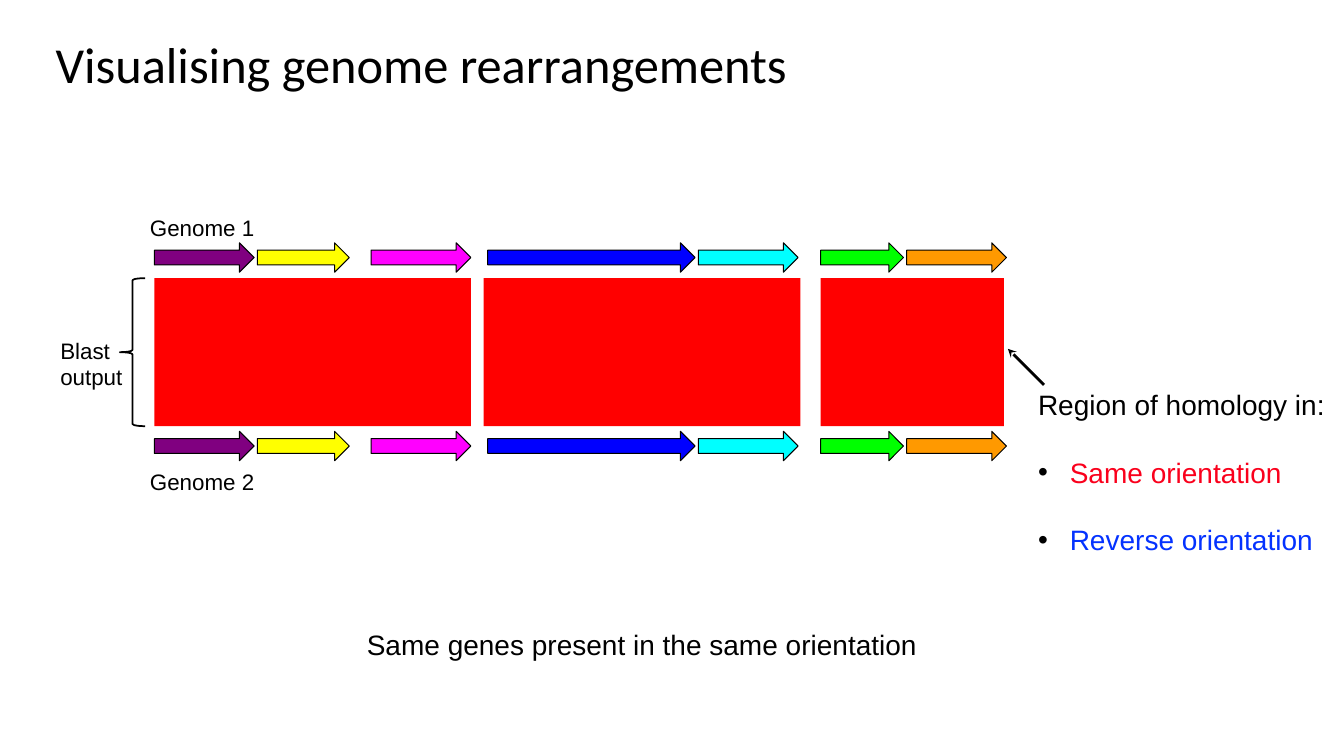
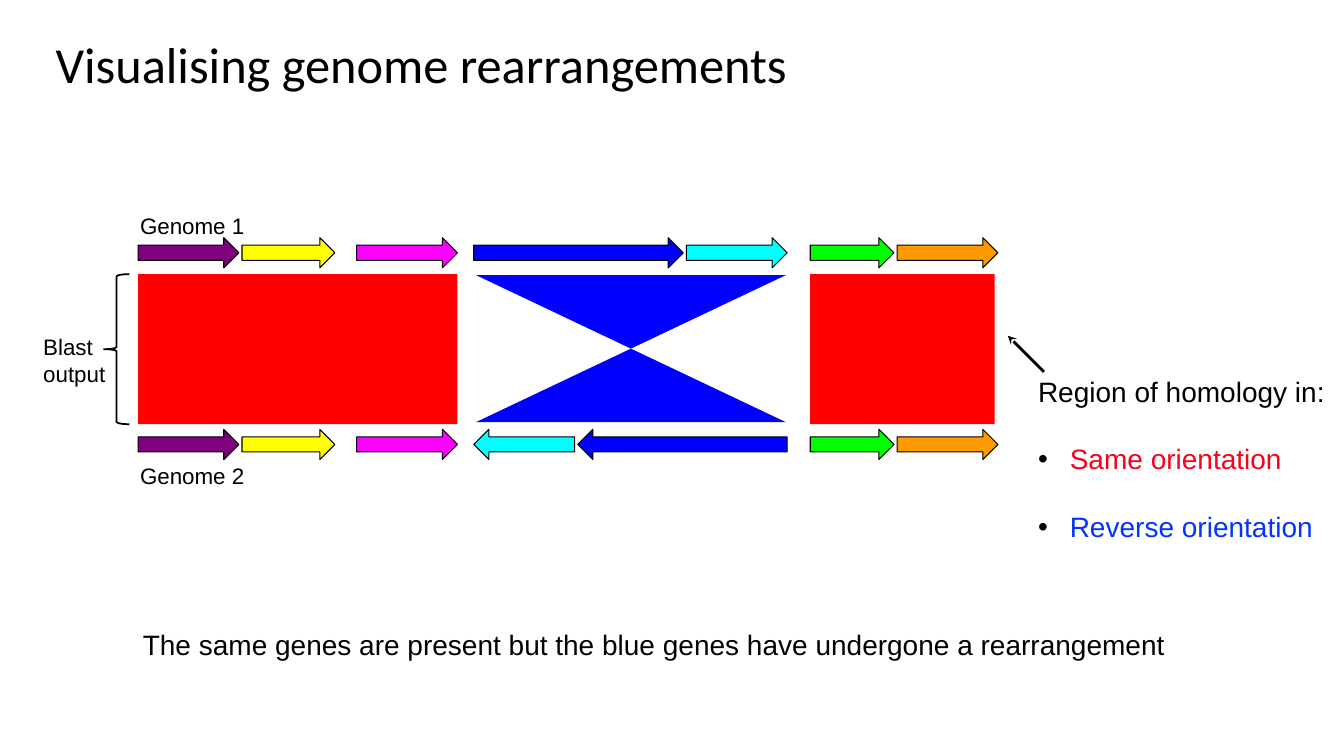
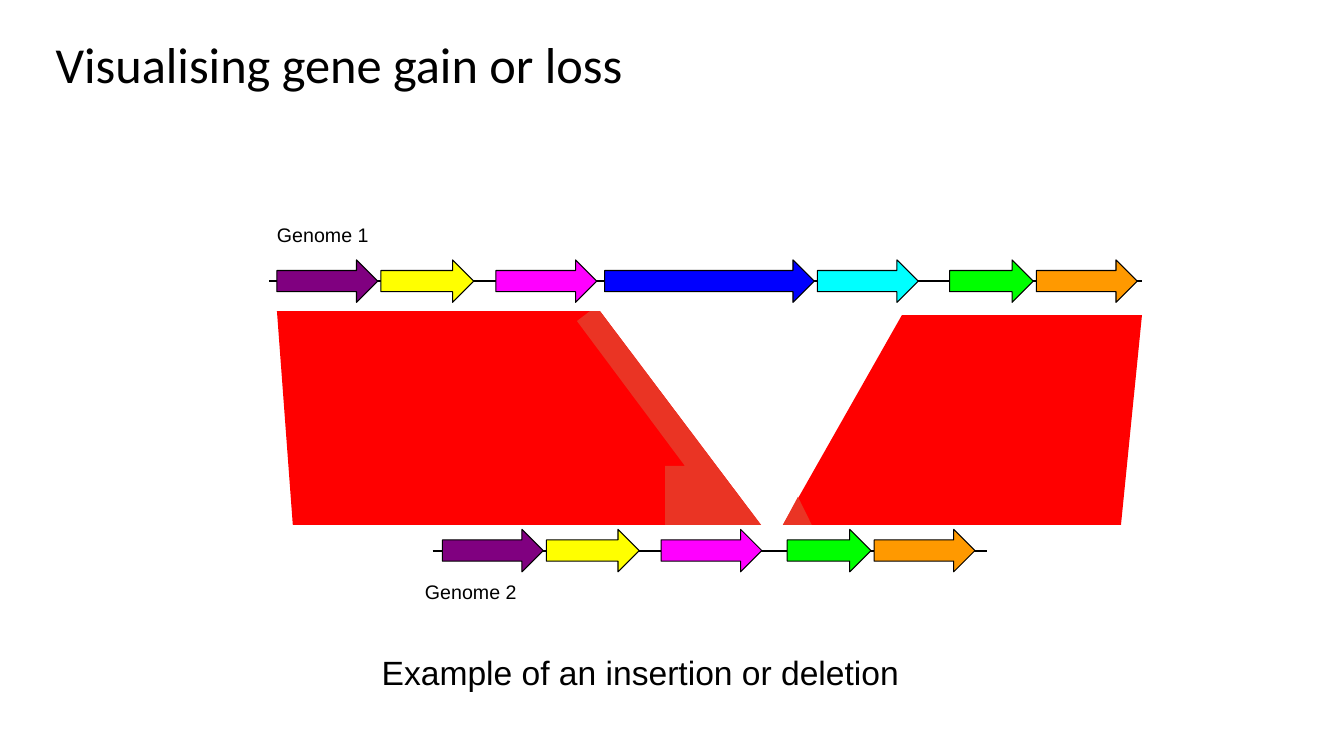
from dataclasses import dataclass
from typing import NamedTuple

from lxml import etree
from pptx import Presentation
from pptx.dml.color import RGBColor
from pptx.enum.shapes import MSO_CONNECTOR, MSO_SHAPE
from pptx.enum.text import MSO_ANCHOR, PP_ALIGN
from pptx.oxml.ns import qn
from pptx.util import Cm, Pt

RECTANGLE = MSO_SHAPE.RECTANGLE
TRIANGLE = MSO_SHAPE.ISOSCELES_TRIANGLE
RIGHT_ARROW = MSO_SHAPE.RIGHT_ARROW
LEFT_ARROW = MSO_SHAPE.LEFT_ARROW
LEFT_BRACE = MSO_SHAPE.LEFT_BRACE
STRAIGHT = MSO_CONNECTOR.STRAIGHT
TOP, MIDDLE = MSO_ANCHOR.TOP, MSO_ANCHOR.MIDDLE
LEFT, CENTER = PP_ALIGN.LEFT, PP_ALIGN.CENTER


@dataclass(frozen=True)
class Theme:
    ink: str = "000000"
    same: str = "FF0000"
    reverse: str = "0000FF"
    overlap: str = "EA3424"
    same_label: str = "FA001C"
    reverse_label: str = "0432FF"
    title_font: str = "Calibri"
    body_font: str = "Arial"
    title_size: float = 36
    large_size: float = 24
    body_size: float = 20
    label_size: float = 16
    small_size: float = 14
    key_gap: float = 24.5
    gene_line: float = 0.75
    brace_line: float = 1.25
    backbone_line: float = 1.5
    pointer_line: float = 2


THEME = Theme()


class Box(NamedTuple):
    left: float
    top: float
    width: float
    height: float


class Point(NamedTuple):
    x: float
    y: float


class Gene(NamedTuple):
    color: str
    width: float


class GeneGroup(NamedTuple):
    left: float
    genes: tuple[Gene, ...]
    reversed: bool = False


class GenomeRow(NamedTuple):
    top: float
    height: float
    groups: tuple[GeneGroup, ...]
    scale: float = 1


class Label(NamedTuple):
    text: str
    box: Box
    size: float
    align: PP_ALIGN = LEFT


class Region(NamedTuple):
    color: str
    outline: tuple[Point, ...]


class Rearrangement(NamedTuple):
    rows: tuple[GenomeRow, ...]
    same_regions: tuple[Box, ...]
    inverted_region: Box | None
    brace: Box
    labels: tuple[Label, ...]
    key_top: float


PURPLE = Gene("800080", 2.54)
YELLOW = Gene("FFFF00", 2.34)
MAGENTA = Gene("FF00FF", 2.54)
BLUE = Gene("0000FF", 5.28)
CYAN = Gene("00FFFF", 2.54)
GREEN = Gene("00FF00", 2.11)
ORANGE = Gene("FF9900", 2.54)
GENE_GAP = 0.08
START, SINGLE, MOBILE, END = (PURPLE, YELLOW), (MAGENTA,), (BLUE, CYAN), (GREEN, ORANGE)


def color(code: str) -> RGBColor:
    return RGBColor.from_string(code)


def add_run(paragraph, text: str, size: float, ink: str = THEME.ink,
            font: str = THEME.body_font) -> None:
    run = paragraph.add_run()
    run.text = text
    run.font.name = font
    run.font.size = Pt(size)
    run.font.color.rgb = color(ink)


def add_frame(slide, box: Box, anchor: MSO_ANCHOR = TOP):
    frame = slide.shapes.add_textbox(*map(Cm, box)).text_frame
    frame.word_wrap = True
    frame.vertical_anchor = anchor
    return frame


def add_label(slide, label: Label) -> None:
    paragraph = add_frame(slide, label.box).paragraphs[0]
    paragraph.alignment = label.align
    add_run(paragraph, label.text, label.size)


def add_title(slide, text: str) -> None:
    frame = add_frame(slide, Box(0, 0, 33.87, 3.18), MIDDLE)
    frame.margin_left = Cm(1.4)
    add_run(frame.paragraphs[0], text, THEME.title_size, font=THEME.title_font)


def style(shape, fill: str | None, line_width: float = 0) -> None:
    shape.shadow.inherit = False
    if fill:
        shape.fill.solid()
        shape.fill.fore_color.rgb = color(fill)
    else:
        shape.fill.background()
    if line_width:
        shape.line.color.rgb = color(THEME.ink)
        shape.line.width = Pt(line_width)
    else:
        shape.line.fill.background()


def add_block(slide, kind: MSO_SHAPE, box: Box, fill: str | None,
              line_width: float = 0, rotation: float = 0) -> None:
    block = slide.shapes.add_shape(kind, *map(Cm, box))
    block.rotation = rotation
    style(block, fill, line_width)


def add_line(slide, start: Point, end: Point, width: float, arrow: bool = False) -> None:
    line = slide.shapes.add_connector(STRAIGHT, *map(Cm, (*start, *end)))
    line.line.color.rgb = color(THEME.ink)
    line.line.width = Pt(width)
    if arrow:
        etree.SubElement(line.line._get_or_add_ln(), qn("a:tailEnd"), type="stealth")
    etree.SubElement(line._element.spPr, qn("a:effectLst"))


def add_region(slide, region: Region) -> None:
    start, *others = [(Cm(x), Cm(y)) for x, y in region.outline]
    builder = slide.shapes.build_freeform(*start)
    builder.add_line_segments(others, close=True)
    style(builder.convert_to_shape(), region.color)


def add_genome(slide, row: GenomeRow) -> None:
    for group in row.groups:
        left = group.left
        arrow = LEFT_ARROW if group.reversed else RIGHT_ARROW
        for gene in group.genes:
            width = gene.width * row.scale
            add_block(slide, arrow, Box(left, row.top, width, row.height),
                      gene.color, THEME.gene_line)
            left += width + GENE_GAP


def add_bullet(paragraph) -> None:
    properties = paragraph._p.get_or_add_pPr()
    properties.set("marL", str(Cm(0.8)))
    properties.set("indent", str(-Cm(0.8)))
    bullet_color = etree.SubElement(properties, qn("a:buClr"))
    etree.SubElement(bullet_color, qn("a:srgbClr"), val=THEME.ink)
    etree.SubElement(properties, qn("a:buFont"), typeface=THEME.body_font)
    etree.SubElement(properties, qn("a:buChar"), char="•")


def add_key(slide, top: float) -> None:
    frame = add_frame(slide, Box(25.91, top, 7.85, 4.8))
    add_run(frame.paragraphs[0], "Region of homology in:", THEME.body_size)
    for text, ink in (("Same orientation", THEME.same_label),
                      ("Reverse orientation", THEME.reverse_label)):
        paragraph = frame.add_paragraph()
        paragraph.space_before = Pt(THEME.key_gap)
        add_bullet(paragraph)
        add_run(paragraph, text, THEME.body_size, ink)
    add_line(slide, Point(26.31, top + 0.07), Point(25.4, top - 0.84),
             THEME.pointer_line, arrow=True)


def add_inversion(slide, box: Box) -> None:
    half = box.height / 2
    add_block(slide, TRIANGLE, box._replace(height=half), THEME.reverse, rotation=180)
    add_block(slide, TRIANGLE, box._replace(top=box.top + half, height=half), THEME.reverse)


def draw_rearrangement(slide, content: Rearrangement) -> None:
    for row in content.rows:
        add_genome(slide, row)
    for box in content.same_regions:
        add_block(slide, RECTANGLE, box, THEME.same)
    if content.inverted_region:
        add_inversion(slide, content.inverted_region)
    add_block(slide, LEFT_BRACE, content.brace, None, THEME.brace_line)
    for label in content.labels:
        add_label(slide, label)
    add_key(slide, content.key_top)


def draw_gain_or_loss(slide) -> None:
    add_line(slide, Point(10.9, 13.89), Point(24.87, 13.89), THEME.backbone_line)
    add_line(slide, Point(6.78, 7.09), Point(28.78, 7.09), THEME.backbone_line)
    add_genome(slide, GenomeRow(6.55, 1.07, (
        GeneGroup(6.98, START), GeneGroup(12.5, SINGLE),
        GeneGroup(15.24, MOBILE), GeneGroup(23.93, END))))
    add_genome(slide, GenomeRow(13.34, 1.07, (
        GeneGroup(11.15, START), GeneGroup(16.66, SINGLE), GeneGroup(19.84, END))))
    left_top, left_bottom = Point(15.12, 7.84), Point(19.18, 13.23)
    right_bottom = Point(19.73, 13.23)
    for region in (
        Region(THEME.same, (Point(6.98, 7.84), left_top, left_bottom, Point(7.38, 13.23))),
        Region(THEME.overlap, (
            Point(14.54, 8.09), Point(14.87, 7.84), left_top, left_bottom,
            Point(16.76, 13.23), Point(16.76, 11.74), Point(17.26, 11.74))),
        Region(THEME.same, (
            Point(22.73, 7.94), Point(28.78, 7.94), Point(28.25, 13.23), right_bottom)),
        Region(THEME.overlap, (right_bottom, Point(20.11, 12.52), Point(20.46, 13.23))),
    ):
        add_region(slide, region)
    for label in (
        Label("Genome 1", Box(6.73, 5.49, 3.94, 1.27), THEME.small_size),
        Label("Genome 2", Box(10.46, 14.48, 3.94, 1.27), THEME.small_size),
        Label("Example of an insertion or deletion",
              Box(9.37, 16.31, 16.38, 1.27), THEME.large_size),
    ):
        add_label(slide, label)


CONSERVED_GROUPS = (GeneGroup(3.89, START), GeneGroup(9.35, SINGLE),
                    GeneGroup(12.29, MOBILE), GeneGroup(20.68, END))
CONSERVED = Rearrangement(
    rows=tuple(GenomeRow(top, 0.74, CONSERVED_GROUPS, 0.99) for top in (6.12, 10.87)),
    same_regions=(Box(3.89, 7.01, 7.98, 3.73), Box(12.19, 7.01, 7.98, 3.73),
                  Box(20.68, 7.01, 4.62, 3.73)),
    inverted_region=None,
    brace=Box(3.02, 7.01, 0.64, 3.73),
    labels=(
        Label("Blast output", Box(1.27, 8.36, 2.11, 1.14), THEME.label_size),
        Label("Genome 1", Box(3.53, 5.28, 3.78, 0.66), THEME.label_size),
        Label("Genome 2", Box(3.53, 11.68, 3.78, 0.66), THEME.label_size),
        Label("Same genes present in the same orientation",
              Box(4.14, 15.7, 24.08, 1.27), THEME.body_size, CENTER),
    ),
    key_top=9.63,
)

BEFORE, AFTER = (GeneGroup(3.48, START), GeneGroup(8.99, SINGLE)), GeneGroup(20.42, END)
INVERTED = Rearrangement(
    rows=(
        GenomeRow(5.99, 0.76, (*BEFORE, GeneGroup(11.94, MOBILE), AFTER)),
        GenomeRow(10.82, 0.76, (*BEFORE, GeneGroup(11.94, MOBILE[::-1], True), AFTER)),
    ),
    same_regions=(Box(3.48, 6.91, 8.05, 3.78), Box(20.42, 6.91, 4.65, 3.78)),
    inverted_region=Box(11.99, 6.93, 7.82, 3.71),
    brace=Box(2.62, 6.91, 0.64, 3.78),
    labels=(
        Label("Blast output", Box(0.84, 8.28, 2.11, 1.14), THEME.label_size),
        Label("Genome 1", Box(3.28, 5.21, 3.15, 0.66), THEME.label_size),
        Label("Genome 2", Box(3.28, 11.51, 3.78, 0.58), THEME.label_size),
        Label("The same genes are present but the blue genes have undergone a rearrangement",
              Box(2.62, 15.7, 27.74, 1.24), THEME.body_size, CENTER),
    ),
    key_top=9.3,
)


def main() -> None:
    deck = Presentation()
    deck.slide_width, deck.slide_height = Cm(33.87), Cm(19.05)
    blank = deck.slide_layouts[6]
    for content in (CONSERVED, INVERTED):
        slide = deck.slides.add_slide(blank)
        draw_rearrangement(slide, content)
        add_title(slide, "Visualising genome rearrangements")
    slide = deck.slides.add_slide(blank)
    draw_gain_or_loss(slide)
    add_title(slide, "Visualising gene gain or loss")
    deck.save("out.pptx")


main()
